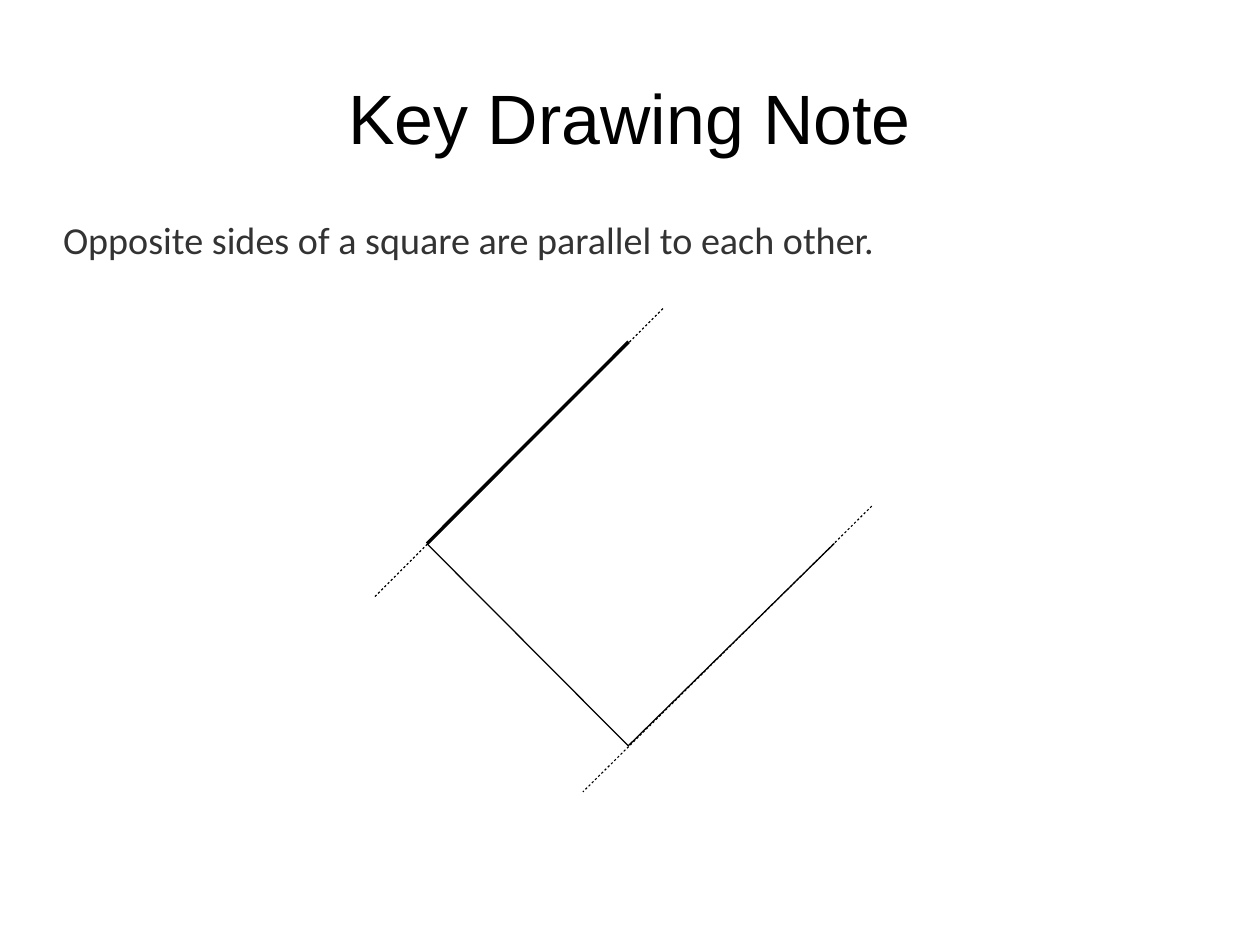
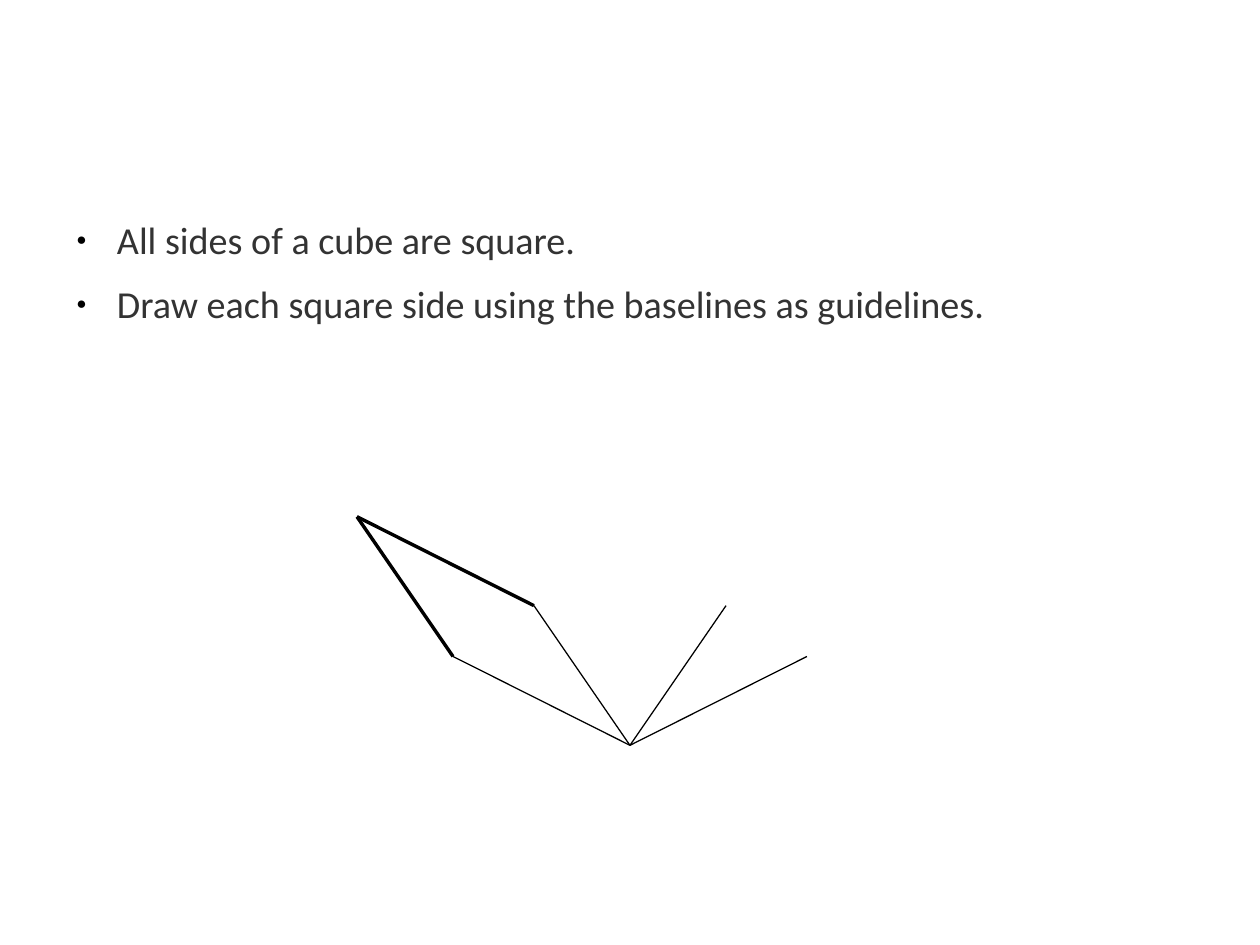
from lxml import etree
from pptx import Presentation
from pptx.dml.color import RGBColor
from pptx.enum.shapes import MSO_CONNECTOR as Conn
from pptx.enum.text import MSO_ANCHOR as Anchor, PP_ALIGN as Align
from pptx.oxml.ns import qn
from pptx.util import Pt

# Content
TITLE = "Key Drawing Note"
SQUARE_NOTE = ["Opposite sides of a square are parallel to each other."]
CUBE_NOTES = [
    "All sides of a cube are square.",
    "Draw each square side using the baselines as guidelines.",
]

# Shared style, lengths in points
BLACK = RGBColor(0, 0, 0)
GREY = RGBColor(0x33, 0x33, 0x33)
WIDTH, HEIGHT = 793.75, 595.25
CENTRE = WIDTH / 2
TITLE_BOX = (39.7, 23.75, 714.3, 99.4)
BODY_BOX = (39.7, 139.7, 714.3, 393.1)
THIN, THICK, GUIDE = 0.79, 2.15, 0.71
INDENT, HANGING = 34, -25.5

# Square: corners around the vertical centre line
LEFT, TOP = (269, 342.5), (396, 215.3)
BOTTOM, RIGHT = (395.8, 469.8), (525.6, 342.3)
SQUARE_LINES = [
    (BOTTOM, LEFT, THIN),
    (RIGHT, BOTTOM, THIN),
    (TOP, LEFT, THICK),
    ((417.6, 194.4), (236, 376), GUIDE),
    ((549.2, 318.8), (367.2, 498.8), GUIDE),
]

# Cube: edges leave the near corner along two mirrored directions
NEAR = (CENTRE, 469.5)
LONG, STEEP = (111.5, 56), (60.5, 88)


def cube_lines():
    def ends(side):
        return [(NEAR[0] + side * dx, NEAR[1] - dy) for dx, dy in (LONG, STEEP)]

    low, high = ends(-1)
    far = (low[0] - STEEP[0], low[1] - STEEP[1])
    baselines = [(NEAR, end, THIN) for side in (-1, 1) for end in ends(side)]
    return baselines + [(far, high, THICK), (far, low, THICK)]


def style_frame(tf):
    tf.word_wrap = True
    tf.margin_left = tf.margin_right = tf.margin_top = tf.margin_bottom = 0


def style_font(font, name, size, color):
    font.name, font.size, font.color.rgb = name, Pt(size), color
    font.bold = False


def add_title(s, text):
    title = s.shapes.title
    title.left, title.top, title.width, title.height = map(Pt, TITLE_BOX)
    tf = title.text_frame
    tf.text = text
    style_frame(tf)
    tf.vertical_anchor = Anchor.MIDDLE
    p = tf.paragraphs[0]
    p.alignment = Align.CENTER
    style_font(p.runs[0].font, "Arial", 44, BLACK)


def add_bullet(p):
    pPr = p._p.get_or_add_pPr()
    pPr.set("marL", str(Pt(INDENT)))
    pPr.set("indent", str(Pt(HANGING)))
    color = etree.SubElement(pPr, qn("a:buClr"))
    etree.SubElement(color, qn("a:srgbClr"), val=str(BLACK))
    etree.SubElement(pPr, qn("a:buSzPct"), val="45000")
    etree.SubElement(pPr, qn("a:buFont"), typeface="Arial")
    etree.SubElement(pPr, qn("a:buChar"), char="●")


def add_body(s, lines, bulleted):
    tf = s.shapes.add_textbox(*map(Pt, BODY_BOX)).text_frame
    style_frame(tf)
    tf.text = "\n".join(lines)
    for p in tf.paragraphs:
        p.line_spacing = 0.9
        p.space_after = Pt(14.1)
        if bulleted:
            add_bullet(p)
        style_font(p.runs[0].font, "Calibri", 24, GREY)


def add_dash(line):
    dash = etree.SubElement(line.get_or_add_ln(), qn("a:custDash"))
    etree.SubElement(dash, qn("a:ds"), d="200000", sp="200000")


def add_lines(s, lines):
    for start, end, width in lines:
        line = s.shapes.add_connector(Conn.STRAIGHT, *map(Pt, start + end))
        line.line.color.rgb = BLACK
        line.line.width = Pt(width)
        if width == GUIDE:
            add_dash(line)
        etree.SubElement(line._element.spPr, qn("a:effectLst"))


def main():
    prs = Presentation()
    prs.slide_width, prs.slide_height = Pt(WIDTH), Pt(HEIGHT)
    title_only, blank = prs.slide_layouts[5], prs.slide_layouts[6]

    # Slide 1: parallel sides of a square
    s = prs.slides.add_slide(title_only)
    add_lines(s, SQUARE_LINES)
    add_body(s, SQUARE_NOTE, bulleted=False)
    add_title(s, TITLE)

    # Slide 2: first side of a cube
    s = prs.slides.add_slide(blank)
    add_lines(s, cube_lines())
    add_body(s, CUBE_NOTES, bulleted=True)

    prs.save("out.pptx")


if __name__ == "__main__":
    main()
